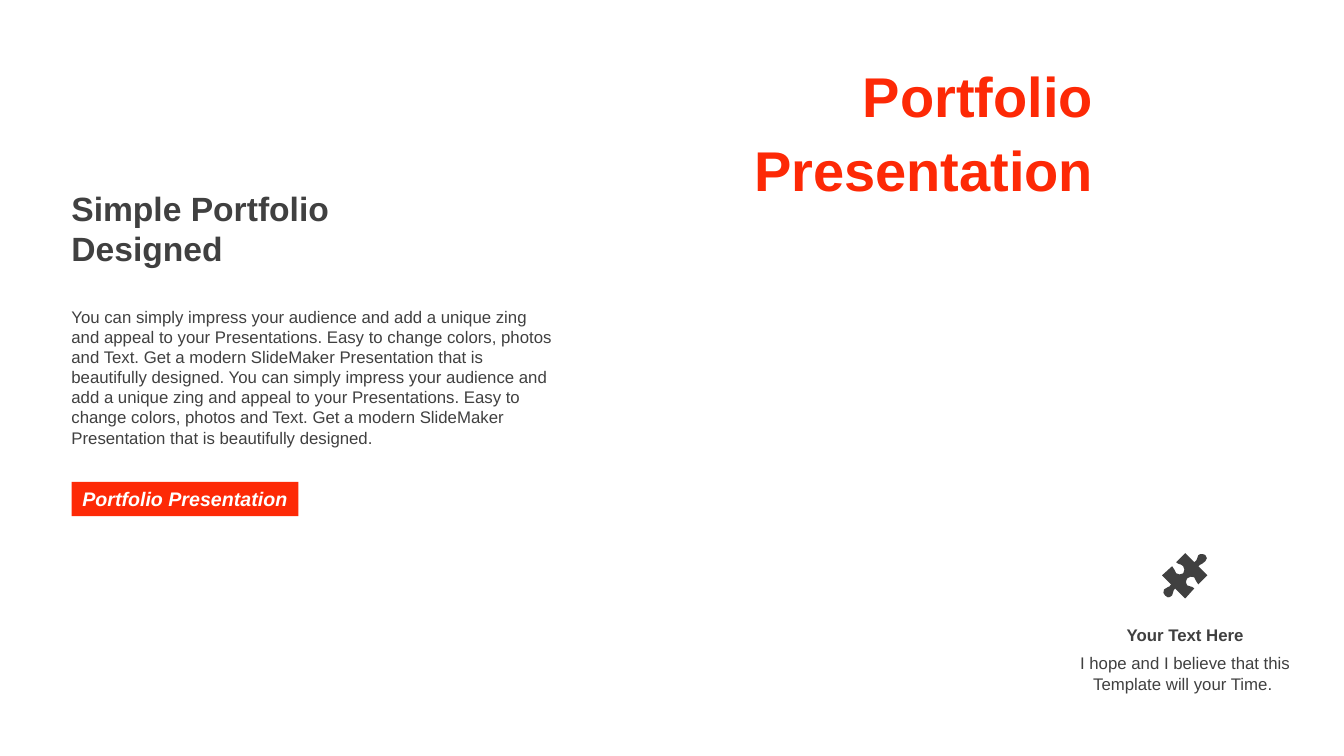
from math import sqrt

from lxml.etree import SubElement
from pptx import Presentation
from pptx.dml.color import RGBColor
from pptx.enum.shapes import MSO_SHAPE as SHAPE
from pptx.enum.text import MSO_ANCHOR as ANCHOR, MSO_AUTO_SIZE as AUTO, PP_ALIGN as ALIGN
from pptx.oxml.ns import qn
from pptx.util import Pt

SCALE = 9144  # EMU per px, 100 px to the inch
FINE = 100    # outline units per px
RED, DARK, WHITE = "FD2906", "404040", "FFFFFF"
PITCH = ("You can simply impress your audience and add a unique zing and appeal to your "
         "Presentations. Easy to change colors, photos and Text. Get a modern SlideMaker "
         "Presentation that is beautifully designed.")

# Puzzle outline in px, as it lies when tilted: one point draws a line, three a cubic curve
PUZZLE_SIZE = 45
PUZZLE = [
    [(43, 2)],
    [(45, 4), (45, 6), (43, 8)], [(41, 11), (39, 10), (36, 13)],
    [(45, 22)], [(36, 31)],
    [(33, 29), (34, 26), (32, 24)], [(30, 23), (27, 23), (25, 25)],
    [(24, 26), (23, 29), (25, 32)], [(28, 34), (29, 32), (32, 35)],
    [(23, 45)], [(13, 35)],
    [(10, 38), (12, 39), (10, 42)], [(7, 45), (4, 44), (3, 42)],
    [(1, 41), (1, 38), (2, 36)], [(4, 33), (7, 35), (9, 31)],
    [(0, 22)], [(10, 13)],
    [(13, 15), (12, 18), (14, 20)], [(16, 22), (19, 21), (21, 20)],
    [(22, 18), (23, 15), (21, 13)], [(18, 10), (17, 12), (14, 9)],
    [(23, 0)], [(32, 9)],
    [(36, 6), (34, 5), (36, 2)], [(38, 0), (42, 1), (43, 2)],
]


def px(n):
    return round(n * SCALE)


def color(hex_code):
    return RGBColor.from_string(hex_code)


def paint(shape, hex_code):
    shape.shadow.inherit = False
    shape.fill.solid()
    shape.fill.fore_color.rgb = color(hex_code)
    shape.line.fill.background()


def write(shape, text, size, hex_code, align=ALIGN.LEFT, bold=False, italic=False,
          anchor=ANCHOR.TOP, spacing=1.0):
    tf = shape.text_frame
    tf.word_wrap = True
    tf.auto_size = AUTO.NONE
    tf.vertical_anchor = anchor
    p = tf.paragraphs[0]
    p.alignment = align
    p.line_spacing = spacing
    p.space_before = Pt(0)
    r = p.add_run()
    r.text = text
    r.font.name, r.font.size = "Arial", Pt(size)
    r.font.bold, r.font.italic = bold, italic
    r.font.color.rgb = color(hex_code)


def add_text(s, x, y, w, h, text, size, **style):
    write(s.shapes.add_textbox(px(x), px(y), px(w), px(h)), text, size, DARK, **style)


def add_title(s, x, y, w, h):
    title = s.shapes.title
    title.left, title.top, title.width, title.height = px(x), px(y), px(w), px(h)
    write(title, "Portfolio Presentation", 40, RED, align=ALIGN.RIGHT, bold=True,
          anchor=ANCHOR.MIDDLE, spacing=1.1)


def upright(point):
    # Turn a point back by 45 degrees about the middle of the puzzle
    x, y = (n - PUZZLE_SIZE / 2 for n in point)
    return round((x + y) / sqrt(2) * FINE), round((y - x) / sqrt(2) * FINE)


def add_puzzle(s, x, y):
    parts = [[upright(pt) for pt in part] for part in PUZZLE]
    ends = [part[-1] for part in parts]
    left, top = (min(axis) for axis in zip(*ends))
    builder = s.shapes.build_freeform(*ends[0], scale=SCALE / FINE)
    builder.add_line_segments(ends[1:], close=True)
    middle = PUZZLE_SIZE / 2
    puzzle = builder.convert_to_shape(px(x + middle), px(y + middle))
    puzzle.rotation = 45
    paint(puzzle, DARK)
    # Bend the segments that have control points
    segments = list(puzzle._element.iter(qn("a:lnTo")))
    for segment, part in zip(segments, parts[1:]):
        if len(part) == 3:
            segment.clear()
            curve = SubElement(segment.getparent(), qn("a:cubicBezTo"))
            for px_x, px_y in part:
                SubElement(curve, qn("a:pt"), x=str(px_x - left), y=str(px_y - top))
            segment.getparent().replace(segment, curve)


def add_intro(s, x, y, w):
    # Heading, body copy and red label
    add_text(s, x, y, 290, 91, "Simple Portfolio Designed", 24, bold=True)
    add_text(s, x, y + 118, w, 151, f"{PITCH} {PITCH}", 12)
    label = s.shapes.add_shape(SHAPE.RECTANGLE, px(x + 10), px(y + 297), px(225), px(34))
    paint(label, RED)
    write(label, "Portfolio Presentation", 14, WHITE, align=ALIGN.CENTER,
          bold=True, italic=True, anchor=ANCHOR.MIDDLE)


def add_feature(s, x, y, w):
    # Icon above a centred caption
    add_puzzle(s, x + w // 2 - 22, y)
    add_text(s, x, y + 66, w, 30, "Your Text Here", 12, align=ALIGN.CENTER, bold=True)
    add_text(s, x, y + 94, w, 50, "I hope and I believe that this Template will your Time. ",
             12, align=ALIGN.CENTER)


def main():
    prs = Presentation()
    prs.slide_width, prs.slide_height = px(1333), px(750)
    s = prs.slides.add_slide(prs.slide_layouts[5])
    add_title(s, 635, 51, 459, 154)
    add_intro(s, 61, 181, 502)
    add_feature(s, 1061, 549, 229)
    prs.save("out.pptx")


if __name__ == "__main__":
    main()
